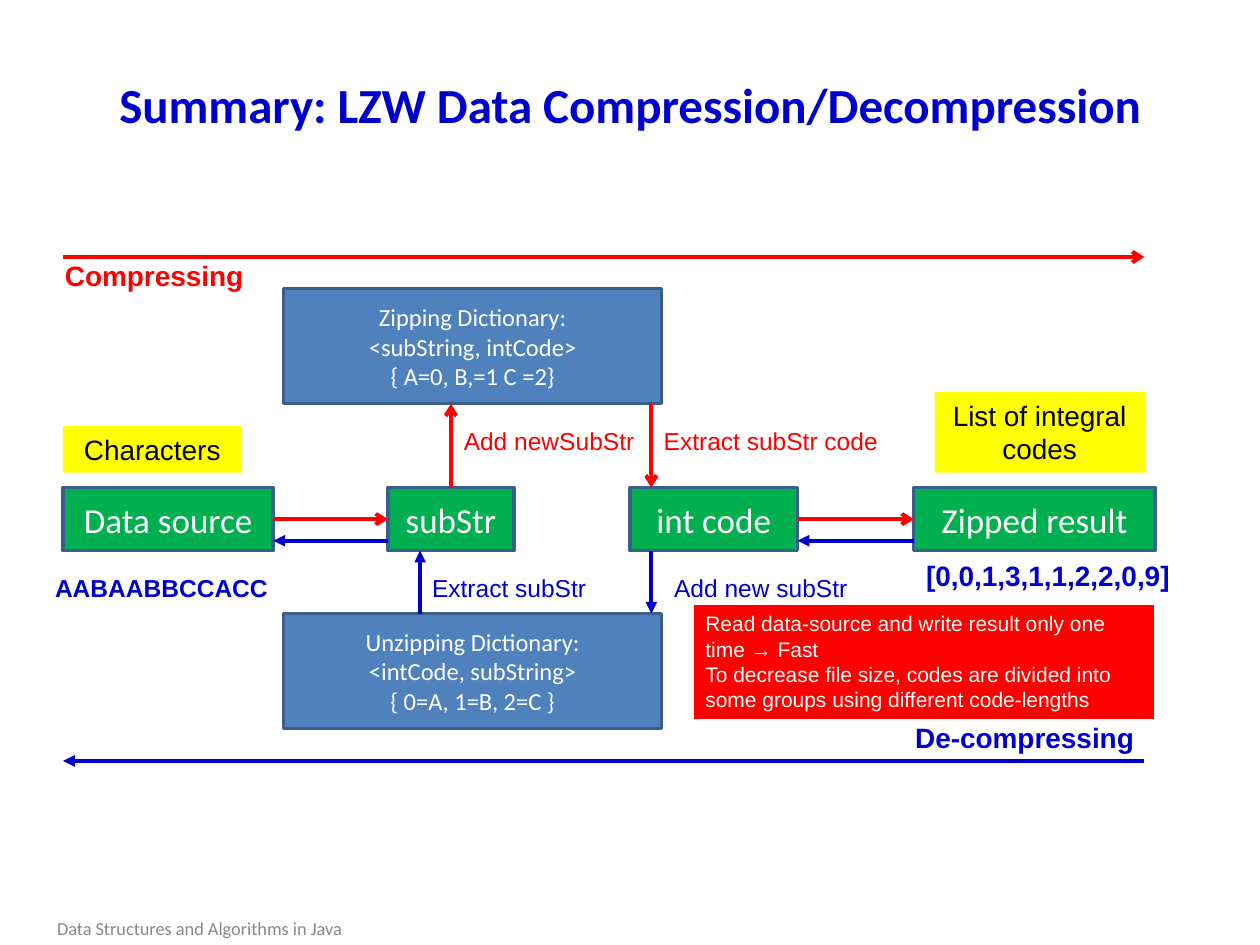
from lxml import etree
from pptx import Presentation
from pptx.dml.color import RGBColor
from pptx.enum import shapes, text
from pptx.oxml.ns import qn
from pptx.util import Cm, Pt

THEME = {
    "red": "FF0000", "blue": "0000CC", "green": "00B050", "steel": "4F81BD",
    "edge": "3A5F8C", "yellow": "FFFF00", "white": "FFFFFF", "black": "000000",
    "grey": "898989", "head": "Calibri", "body": "Arial",
    "title": 28, "stage": 20, "large": 16, "medium": 14, "small": 12, "footer": 10.5,
}

# Content; all lengths in cm
TITLE = "Summary: LZW Data Compression/Decompression"
FOOTER = "Data Structures and Algorithms in Java"

STAGE_TOP, STAGE_HEIGHT = 9.83, 1.27
STAGES = [  # text, left, width
    ("Data source", 1.27, 4.24),
    ("subStr", 7.82, 2.54),
    ("int code", 12.7, 3.38),
    ("Zipped result", 18.42, 4.87),
]
DICT_LEFT, DICT_WIDTH, DICT_HEIGHT = 5.72, 7.62, 2.32
DICTIONARIES = [  # top, lines
    (5.82, ["Zipping Dictionary:", "<subString, intCode>", "{ A=0, B,=1 C =2}"]),
    (12.37, ["Unzipping Dictionary:", "<intCode, subString>", "{ 0=A, 1=B, 2=C }"]),
]
LABELS = [  # text, left, top, width, height, colour, size, bold, wrap
    ("Compressing", 1.06, 5.08, 4.45, 0.94, "red", "large", True, True),
    ("De-compressing", 18.2, 14.4, 5.08, 0.94, "blue", "large", True, True),
    ("Add newSubStr", 9.1, 8.46, 4.02, 0.86, "red", "medium", False, True),
    ("Extract subStr code", 13.13, 8.46, 5.08, 0.86, "red", "medium", False, True),
    ("Extract subStr", 8.46, 11.43, 4.02, 0.86, "blue", "medium", False, True),
    ("Add new subStr", 13.34, 11.43, 4.24, 0.86, "blue", "medium", False, True),
    ("AABAABBCCACC", 0.86, 11.43, 4.85, 0.86, "blue", "medium", True, False),
    ("[0,0,1,3,1,1,2,2,0,9]", 18.42, 11.13, 5.51, 0.94, "blue", "large", True, False),
]
TAGS = [  # text, left, top, width, height
    ("Characters", 1.27, 8.59, 3.6, 0.94),
    ("List of integral codes", 18.84, 7.9, 4.24, 1.63),
]
NOTE_BOX = (13.97, 12.19, 9.31, 2.31)
NOTE = [
    "Read data-source and write result only one time → Fast",
    "To decrease file size, codes are divided into some groups using different code-lengths",
]
LEFT_END, RIGHT_END, COMPRESS_Y, DECOMPRESS_Y = 1.27, 23.07, 5.18, 15.34
CODE_X, ADD_X, EXTRACT_X = 13.13, 9.09, 8.47
RETURN_Y = 10.9


def rgb(name):
    return RGBColor.from_string(THEME[name])


def write(shape, lines, font, size, colour, bold=False, centre=True, middle=True, wrap=True):
    frame = shape.text_frame
    frame.word_wrap = wrap
    frame.vertical_anchor = text.MSO_ANCHOR.MIDDLE if middle else text.MSO_ANCHOR.TOP
    frame.text = "\n".join(lines)
    for line in frame.paragraphs:
        line.alignment = text.PP_ALIGN.CENTER if centre else text.PP_ALIGN.LEFT
        line.font.name, line.font.size = THEME[font], Pt(THEME[size])
        line.font.bold, line.font.color.rgb = bold, rgb(colour)


def add_box(slide, place, fill, edge=None, weight=2):
    box = slide.shapes.add_shape(shapes.MSO_SHAPE.RECTANGLE, *map(Cm, place))
    box.shadow.inherit = False
    box.fill.solid()
    box.fill.fore_color.rgb = rgb(fill)
    if edge:
        box.line.color.rgb, box.line.width = rgb(edge), Pt(weight)
    else:
        box.line.fill.background()
    return box


def add_arrow(slide, start, end, colour):
    arrow = slide.shapes.add_connector(shapes.MSO_CONNECTOR.STRAIGHT, *map(Cm, start + end))
    arrow.line.color.rgb, arrow.line.width = rgb(colour), Pt(2.25)
    head = "arrow" if colour == "red" else "triangle"
    etree.SubElement(arrow.line._get_or_add_ln(), qn("a:tailEnd"), type=head)
    etree.SubElement(arrow._element.spPr, qn("a:effectLst"))
    return arrow


def main():
    deck = Presentation()
    deck.slide_width, deck.slide_height = Cm(25.4), Cm(19.05)
    slide = deck.slides.add_slide(deck.slide_layouts[5])

    # Title and footer
    title = slide.shapes.title
    title.left, title.top, title.width, title.height = map(Cm, (1.27, 1.37, 22.86, 1.45))
    write(title, [TITLE], "head", "title", "blue", bold=True)
    footer = slide.shapes.add_textbox(*map(Cm, (0, 18.36, 8.05, 0.69)))
    write(footer, [FOOTER], "head", "footer", "grey")

    # Stages and dictionaries
    stages = []
    for name, left, width in STAGES:
        stage = add_box(slide, (left, STAGE_TOP, width, STAGE_HEIGHT), "green", "edge")
        write(stage, [name], "head", "stage", "white")
        stages.append(stage)
    for top, lines in DICTIONARIES:
        box = add_box(slide, (DICT_LEFT, top, DICT_WIDTH, DICT_HEIGHT), "steel", "edge")
        write(box, lines, "head", "medium", "white")

    # Arrows between neighbouring stages: out in red, back in blue
    stage_mid = STAGE_TOP + STAGE_HEIGHT / 2
    for i in (0, 2):
        _, left, width = STAGES[i]
        near, far = left + width, STAGES[i + 1][1]
        out = add_arrow(slide, (near, stage_mid), (far, stage_mid), "red")
        out.begin_connect(stages[i], 3)
        out.end_connect(stages[i + 1], 1)
        add_arrow(slide, (far, RETURN_Y), (near, RETURN_Y), "blue")

    # Arrows to and from the dictionaries
    zip_bottom, unzip_top = DICTIONARIES[0][0] + DICT_HEIGHT, DICTIONARIES[1][0]
    stage_bottom = STAGE_TOP + STAGE_HEIGHT
    add_arrow(slide, (CODE_X, zip_bottom), (CODE_X, STAGE_TOP), "red")
    add_arrow(slide, (ADD_X, STAGE_TOP), (ADD_X, zip_bottom), "red").begin_connect(stages[1], 0)
    add_arrow(slide, (EXTRACT_X, unzip_top), (EXTRACT_X, stage_bottom), "blue")
    add_arrow(slide, (CODE_X, stage_bottom), (CODE_X, unzip_top), "blue")

    # Overall directions
    add_arrow(slide, (LEFT_END, COMPRESS_Y), (RIGHT_END, COMPRESS_Y), "red")
    add_arrow(slide, (RIGHT_END, DECOMPRESS_Y), (LEFT_END, DECOMPRESS_Y), "blue")

    # Note, tags and labels
    note = add_box(slide, NOTE_BOX, "red", "white", 0.75)
    write(note, NOTE, "body", "small", "white", centre=False, middle=False)
    for name, *place in TAGS:
        tag = add_box(slide, place, "yellow")
        write(tag, [name], "body", "large", "black", middle=False)
    for name, left, top, width, height, colour, size, bold, wrap in LABELS:
        label = slide.shapes.add_textbox(*map(Cm, (left, top, width, height)))
        write(label, [name], "body", size, colour, bold, centre=False, middle=False, wrap=wrap)

    deck.save("out.pptx")


if __name__ == "__main__":
    main()
